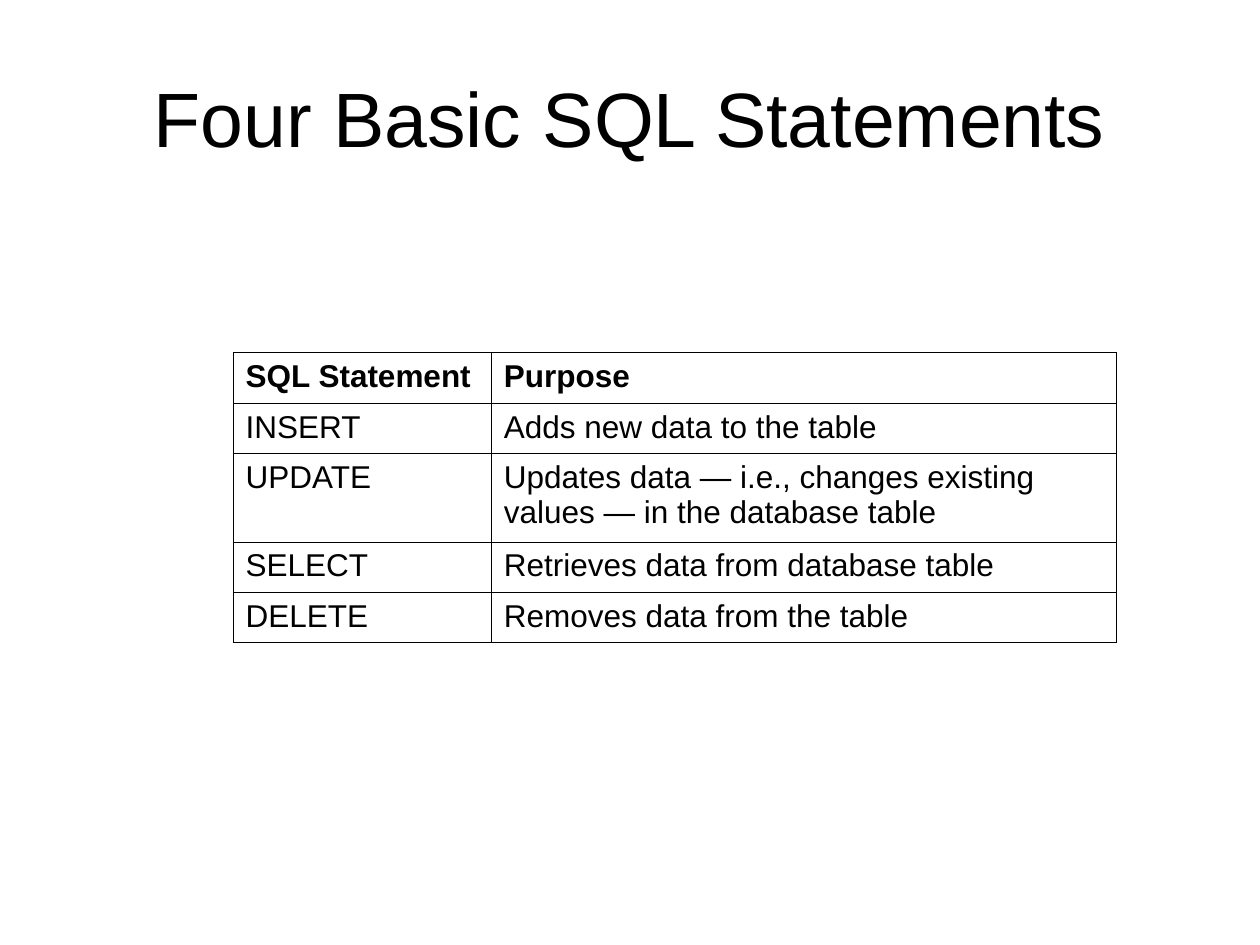
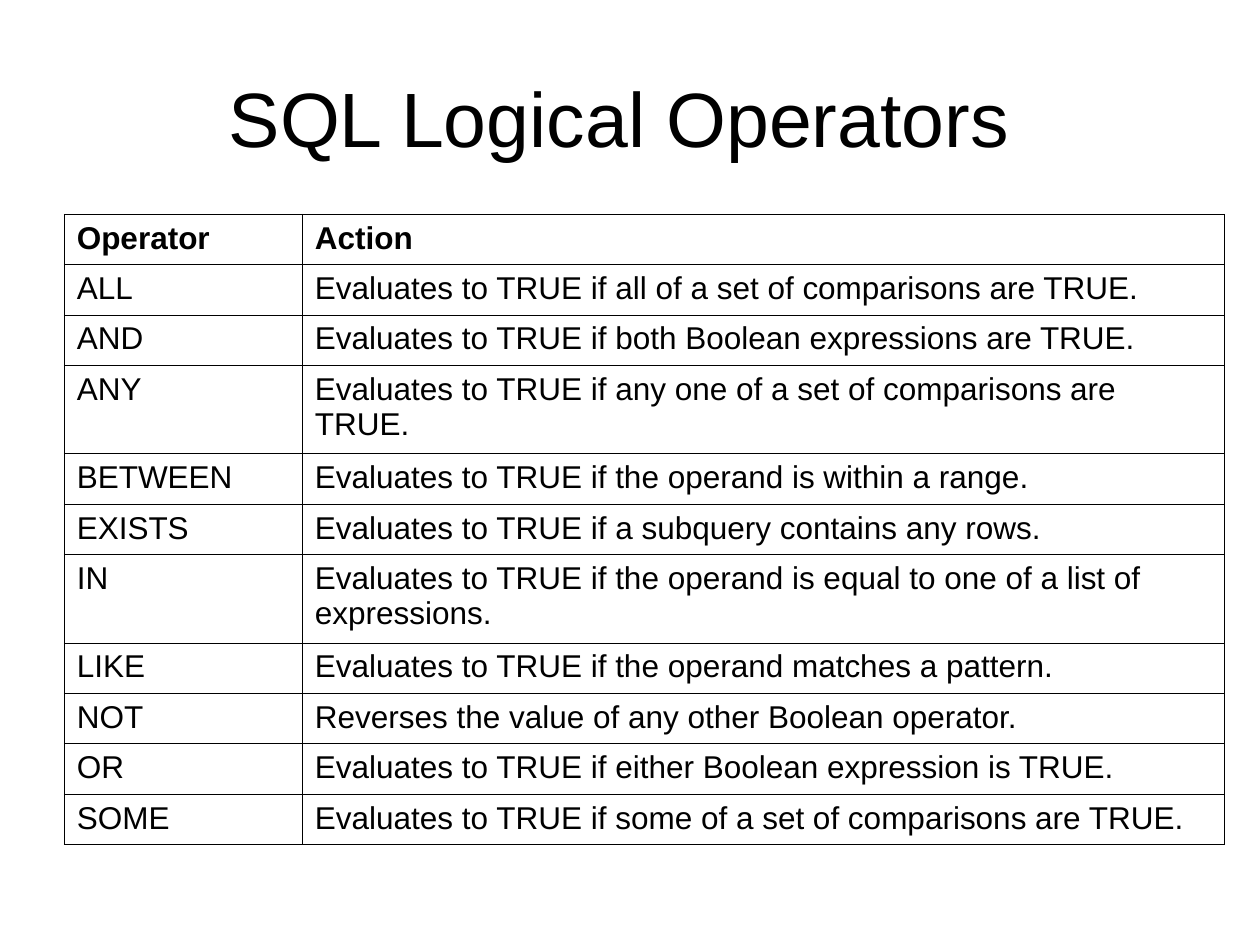
"""Build two slides of SQL reference tables."""
from lxml import etree
from pptx import Presentation
from pptx.dml.color import RGBColor
from pptx.enum.text import MSO_ANCHOR, PP_ALIGN
from pptx.oxml.ns import qn
from pptx.util import Inches, Pt

MIDDLE, TOP = MSO_ANCHOR.MIDDLE, MSO_ANCHOR.TOP
LEFT, CENTER = PP_ALIGN.LEFT, PP_ALIGN.CENTER

FONT, INK = "Arial", "000000"
TITLE_BOX = (0.5, 0.3, 9, 1.25)
TITLE_SIZE, CELL_SIZE = 44, 18
ROW_HEIGHT, EXTRA_LINE = 0.4, 0.3
RULE_WIDTH = 0.45

TOPICS = [
    {
        "title": "Four Basic SQL Statements",
        "corner": (1.85, 2.8),
        "columns": (2.05, 4.96),
        "two_line": {"UPDATE"},
        "rows": [
            ("SQL Statement", "Purpose"),
            ("INSERT", "Adds new data to the table"),
            ("UPDATE", "Updates data — i.e., changes existing values — in the database table"),
            ("SELECT", "Retrieves data from database table"),
            ("DELETE", "Removes data from the table"),
        ],
    },
    {
        "title": "SQL Logical Operators ",
        "corner": (0.51, 1.7),
        "columns": (1.89, 7.32),
        "two_line": {"ANY", "IN"},
        "rows": [
            ("Operator", "Action"),
            ("ALL", "Evaluates to TRUE if all of a set of comparisons are TRUE."),
            ("AND", "Evaluates to TRUE if both Boolean expressions are TRUE."),
            ("ANY", "Evaluates to TRUE if any one of a set of comparisons are TRUE."),
            ("BETWEEN", "Evaluates to TRUE if the operand is within a range."),
            ("EXISTS", "Evaluates to TRUE if a subquery contains any rows."),
            ("IN", "Evaluates to TRUE if the operand is equal to one of a list of expressions."),
            ("LIKE", "Evaluates to TRUE if the operand matches a pattern."),
            ("NOT", "Reverses the value of any other Boolean operator."),
            ("OR", "Evaluates to TRUE if either Boolean expression is TRUE."),
            ("SOME", "Evaluates to TRUE if some of a set of comparisons are TRUE."),
        ],
    },
]


def color(value):
    return RGBColor.from_string(value)


def set_all(target, values):
    for name, value in values.items():
        setattr(target, name, value)


def write(frame, text, size, align, bold=False):
    frame.word_wrap = True
    paragraph = frame.paragraphs[0]
    paragraph.alignment = align
    run = paragraph.add_run()
    run.text = text
    set_all(run.font, {"name": FONT, "size": Pt(size), "bold": bold})
    run.font.color.rgb = color(INK)


def add_borders(cell):
    properties = cell._tc.get_or_add_tcPr()
    for position, side in enumerate(("lnL", "lnR", "lnT", "lnB")):
        border = etree.Element(qn(f"a:{side}"), w=str(Pt(RULE_WIDTH)))
        fill = etree.SubElement(border, qn("a:solidFill"))
        etree.SubElement(fill, qn("a:srgbClr"), val=INK)
        properties.insert(position, border)


def add_title(slide, title):
    frame = slide.shapes.add_textbox(*map(Inches, TITLE_BOX)).text_frame
    frame.vertical_anchor = MIDDLE
    write(frame, title, TITLE_SIZE, CENTER)


def add_reference(slide, topic):
    rows, columns = topic["rows"], topic["columns"]
    heights = [ROW_HEIGHT + EXTRA_LINE * (term in topic["two_line"]) for term, _ in rows]
    extent = (*topic["corner"], sum(columns), sum(heights))
    table = slide.shapes.add_table(len(rows), len(columns), *map(Inches, extent)).table
    set_all(table, {"first_row": False, "horz_banding": False})
    for column, width in zip(table.columns, columns):
        column.width = Inches(width)
    for index, (row, height, texts) in enumerate(zip(table.rows, heights, rows)):
        row.height = Inches(height)
        for cell, text in zip(row.cells, texts):
            cell.vertical_anchor = TOP
            cell.fill.background()
            add_borders(cell)
            write(cell.text_frame, text, CELL_SIZE, LEFT, bold=index == 0)


def main():
    deck = Presentation()
    set_all(deck, {"slide_width": Inches(10), "slide_height": Inches(7.5)})
    for topic in TOPICS:
        slide = deck.slides.add_slide(deck.slide_layouts[6])
        add_title(slide, topic["title"])
        add_reference(slide, topic)
    deck.save("out.pptx")


if __name__ == "__main__":
    main()
